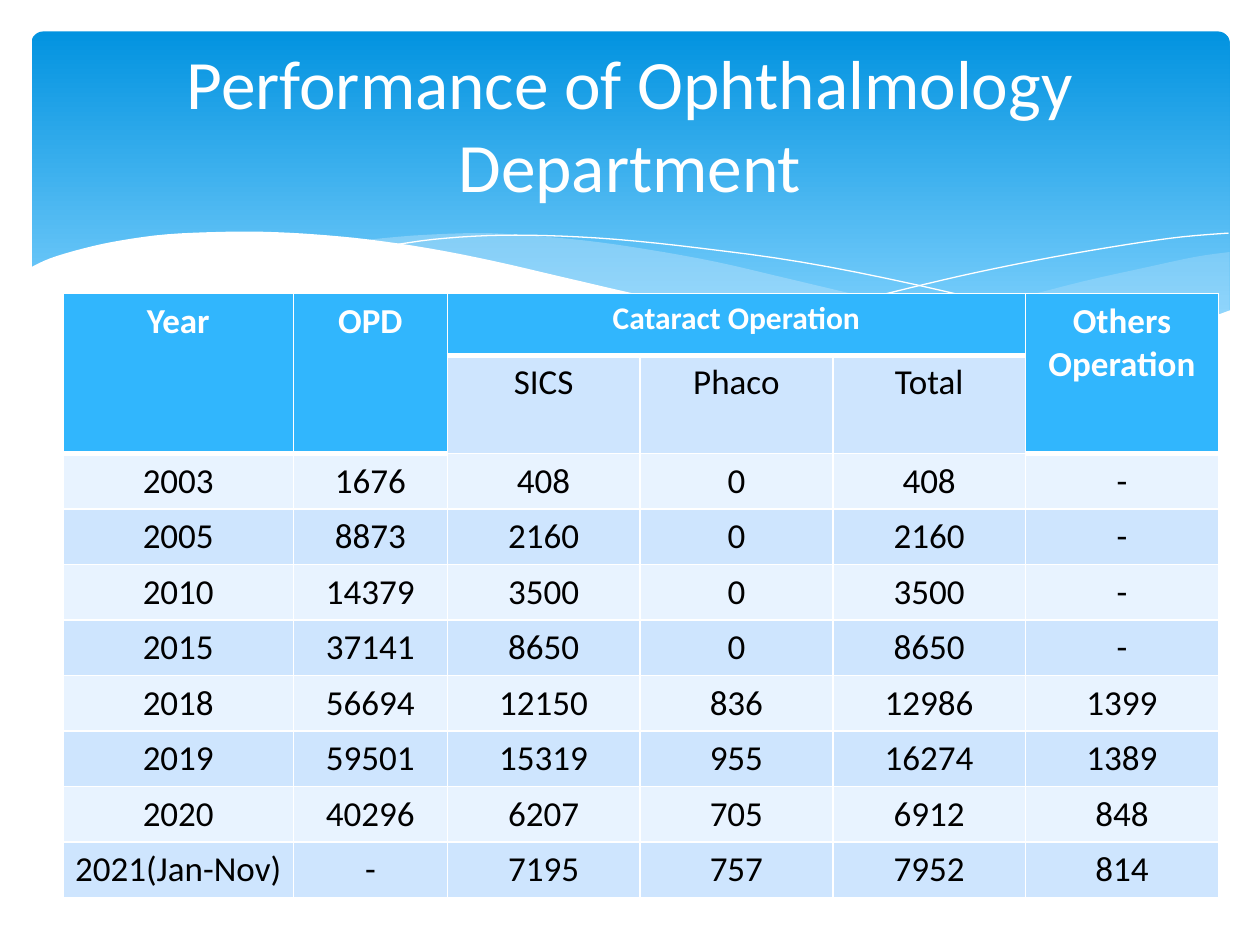
"""Build the slide on the performance of the ophthalmology department."""

import dataclasses
import typing

import pptx
import pptx.dml.color
import pptx.enum.shapes
import pptx.enum.text
import pptx.oxml
import pptx.oxml.ns
import pptx.util

Inches = pptx.util.Inches
Point = tuple[float, float]


@dataclasses.dataclass(frozen=True)
class Theme:
    font: str = "Calibri"
    white: str = "FFFFFF"
    black: str = "000000"
    banner_top: str = "0293E0"
    banner_bottom: str = "83D3FE"
    mist: str = "C6E7FC"
    header: str = "31B6FD"
    bands: tuple[str, str] = ("E8F3FF", "CEE5FE")
    title_size: float = 39.6
    table_size: float = 20
    group_size: float = 18
    border: float = 1
    header_border: float = 3


@dataclasses.dataclass(frozen=True)
class Wave:
    curves: list[list[Point]]
    fill: str | None = None
    opacity: int = 100


class Span(typing.NamedTuple):
    top: int
    left: int
    bottom: int
    right: int


THEME = Theme()

WAVES = [
    Wave([[(9.76, 2), (9.48, 2.04), (9.06, 2.13), (8.61, 2.23), (8.05, 2.37), (7.29, 2.53), (6.61, 2.65)],
          [(6.61, 2.65), (7.05, 2.71), (7.57, 2.76), (8.03, 2.78), (8.54, 2.76), (8.97, 2.7),
           (9.35, 2.62), (9.76, 2.47)]], THEME.mist, 29),
    Wave([[(8.93, 2.73), (8.37, 2.65), (7.75, 2.54), (7.06, 2.4), (6.29, 2.22), (5.69, 2.08),
           (5.14, 1.98), (4.65, 1.91), (4.2, 1.87), (3.8, 1.85), (3.28, 1.87), (2.86, 1.91)],
          [(2.86, 1.91), (3.42, 1.99), (4.04, 2.11), (4.49, 2.22), (5.3, 2.4), (6.01, 2.55),
           (6.65, 2.66), (7.22, 2.74), (7.73, 2.77), (8.18, 2.78), (8.57, 2.77), (8.93, 2.73)]],
         THEME.mist, 40),
    Wave([[(3.09, 1.95), (3.44, 1.9), (3.87, 1.87), (4.33, 1.87), (4.89, 1.9), (5.56, 1.97),
           (6.36, 2.08), (7.27, 2.26), (8.31, 2.51), (9.07, 2.72)]]),
    Wave([[(6.13, 2.57), (6.53, 2.46), (7.2, 2.29), (7.76, 2.16), (8.36, 2.04), (8.95, 1.94),
           (9.38, 1.88), (9.75, 1.85)]]),
    Wave([[(9.77, 2.46), (9.4, 2.59), (8.99, 2.69), (8.5, 2.75), (8.09, 2.77), (7.61, 2.75),
           (7.08, 2.7), (6.48, 2.62), (5.79, 2.5), (5.03, 2.33), (4.47, 2.2), (3.91, 2.07),
           (3.4, 1.97), (2.92, 1.9), (2.5, 1.86), (2.11, 1.84), (1.77, 1.84), (1.32, 1.86),
           (0.95, 1.91), (0.67, 1.97), (0.4, 2.05), (0.23, 2.13)],
          [(0.23, 3.29), (9.77, 3.29)]], THEME.white),
]

COLUMN_WIDTHS = [1.83, 1.22] + [1.53] * 4
ROW_HEIGHTS = [0.49, 0.7] + [0.4] * 8
TALL_COLUMNS = (0, 1, 5)
SPANS = [Span(0, column, 1, column) for column in TALL_COLUMNS] + [Span(0, 2, 0, 4)]
ROWS = [
    ["Year", "OPD", "Cataract Operation", "", "", "Others Operation"],
    ["", "", "SICS", "Phaco", "Total", ""],
    ["2003", "1676", "408", "0", "408", "-"],
    ["2005", "8873", "2160", "0", "2160", "-"],
    ["2010", "14379", "3500", "0", "3500", "-"],
    ["2015", "37141", "8650", "0", "8650", "-"],
    ["2018", "56694", "12150", "836", "12986", "1399"],
    ["2019", "59501", "15319", "955", "16274", "1389"],
    ["2020", "40296", "6207", "705", "6912", "848"],
    ["2021(Jan-Nov)", "-", "7195", "757", "7952", "814"],
]


def rgb(value: str) -> pptx.dml.color.RGBColor:
    """Turn a hex string into a colour."""
    return pptx.dml.color.RGBColor.from_string(value)


def smooth(knots: list[Point], steps: int = 4) -> list[Point]:
    """Return points of a Catmull-Rom curve through the knots."""
    if len(knots) < 3:
        return knots
    padded = [knots[0], *knots, knots[-1]]
    points = [knots[0]]
    for a, b, c, d in zip(padded, padded[1:], padded[2:], padded[3:]):
        for step in range(1, steps + 1):
            t = step / steps
            points.append(tuple(
                0.5 * (2 * q + (r - p) * t + (2 * p - 5 * q + 4 * r - s) * t**2
                       + (3 * q - p - 3 * r + s) * t**3)
                for p, q, r, s in zip(a, b, c, d)))
    return points


def draw_banner(shapes) -> None:
    """Draw the rounded gradient panel behind the title."""
    banner = shapes.add_shape(pptx.enum.shapes.MSO_SHAPE.ROUNDED_RECTANGLE,
                              Inches(0.25), Inches(0.25), Inches(9.51), Inches(2.7))
    banner.adjustments[0] = 0.034
    banner.shadow.inherit = False
    banner.line.fill.background()
    banner.fill.gradient()
    banner.fill.gradient_angle = 270
    stops = zip(banner.fill.gradient_stops, (0, 0.9), (THEME.banner_top, THEME.banner_bottom))
    for stop, position, color in stops:
        stop.position = position
        stop.color.rgb = rgb(color)


def draw_wave(shapes, wave: Wave) -> None:
    """Draw a filled wave, or a thin white line when it has no fill."""
    points = [(Inches(x), Inches(y)) for curve in wave.curves for x, y in smooth(curve)]
    builder = shapes.build_freeform(*points[0])
    builder.add_line_segments(points[1:], close=wave.fill is not None)
    shape = builder.convert_to_shape()
    shape.shadow.inherit = False
    if wave.fill is None:
        shape.fill.background()
        shape.line.color.rgb = rgb(THEME.white)
        shape.line.width = pptx.util.Pt(0)
        return
    shape.line.fill.background()
    shape.fill.solid()
    shape.fill.fore_color.rgb = rgb(wave.fill)
    if wave.opacity < 100:
        color = shape.fill._xPr.find(".//" + pptx.oxml.ns.qn("a:srgbClr"))
        alpha = pptx.oxml.parse_xml(f'<a:alpha {pptx.oxml.ns.nsdecls("a")} val="{wave.opacity * 1000}"/>')
        color.append(alpha)


def write(text_frame, text: str, size: float, color: str, bold: bool = False) -> None:
    """Put centred text in a frame and format its runs."""
    text_frame.text = text
    paragraph = text_frame.paragraphs[0]
    paragraph.alignment = pptx.enum.text.PP_ALIGN.CENTER
    for run in paragraph.runs:
        run.font.name = THEME.font
        run.font.size = pptx.util.Pt(size)
        run.font.bold = bold
        run.font.color.rgb = rgb(color)


def is_header(row: int, column: int) -> bool:
    """Tell whether a cell belongs to the blue header."""
    return row == 0 or (row == 1 and column in TALL_COLUMNS)


def set_borders(cell, top: float, bottom: float) -> None:
    """Give a cell white borders."""
    widths = {"L": THEME.border, "R": THEME.border, "T": top, "B": bottom}
    for side, width in widths.items():
        cell._tc.get_or_add_tcPr().append(pptx.oxml.parse_xml(
            f'<a:ln{side} {pptx.oxml.ns.nsdecls("a")} w="{pptx.util.Pt(width)}"><a:solidFill>'
            f'<a:srgbClr val="{THEME.white}"/></a:solidFill></a:ln{side}>'))


def draw_table(shapes) -> None:
    """Draw the table of yearly figures."""
    table = shapes.add_table(len(ROWS), len(COLUMN_WIDTHS), Inches(0.5), Inches(2.33),
                             Inches(sum(COLUMN_WIDTHS)), Inches(sum(ROW_HEIGHTS))).table
    table.first_row = table.horz_banding = False
    for column, width in zip(table.columns, COLUMN_WIDTHS):
        column.width = Inches(width)
    for row, height in zip(table.rows, ROW_HEIGHTS):
        row.height = Inches(height)
    for span in SPANS:
        table.cell(span.top, span.left).merge(table.cell(span.bottom, span.right))
    for r, texts in enumerate(ROWS):
        for c, text in enumerate(texts):
            cell, header = table.cell(r, c), is_header(r, c)
            below_header = r > 0 and is_header(r - 1, c)
            set_borders(cell, THEME.header_border if below_header else THEME.border,
                        THEME.header_border if header else THEME.border)
            cell.fill.solid()
            cell.fill.fore_color.rgb = rgb(THEME.header if header else THEME.bands[r % 2])
            cell.margin_left = cell.margin_right = Inches(0.09)
            size = THEME.group_size if (r, c) == (0, 2) else THEME.table_size
            write(cell.text_frame, text, size, THEME.white if header else THEME.black, header)


def draw_title(shapes) -> None:
    """Write the slide title over the banner."""
    text_frame = shapes.add_textbox(Inches(0.5), Inches(0.37), Inches(9), Inches(1.21)).text_frame
    text_frame.word_wrap = True
    text_frame.vertical_anchor = pptx.enum.text.MSO_ANCHOR.MIDDLE
    write(text_frame, "Performance of Ophthalmology Department", THEME.title_size, THEME.white)


def main() -> None:
    """Build and save the presentation."""
    presentation = pptx.Presentation()
    presentation.slide_width, presentation.slide_height = Inches(10), Inches(7.5)
    shapes = presentation.slides.add_slide(presentation.slide_layouts[6]).shapes
    draw_banner(shapes)
    for wave in WAVES:
        draw_wave(shapes, wave)
    draw_table(shapes)
    draw_title(shapes)
    presentation.save("out.pptx")


if __name__ == "__main__":
    main()
